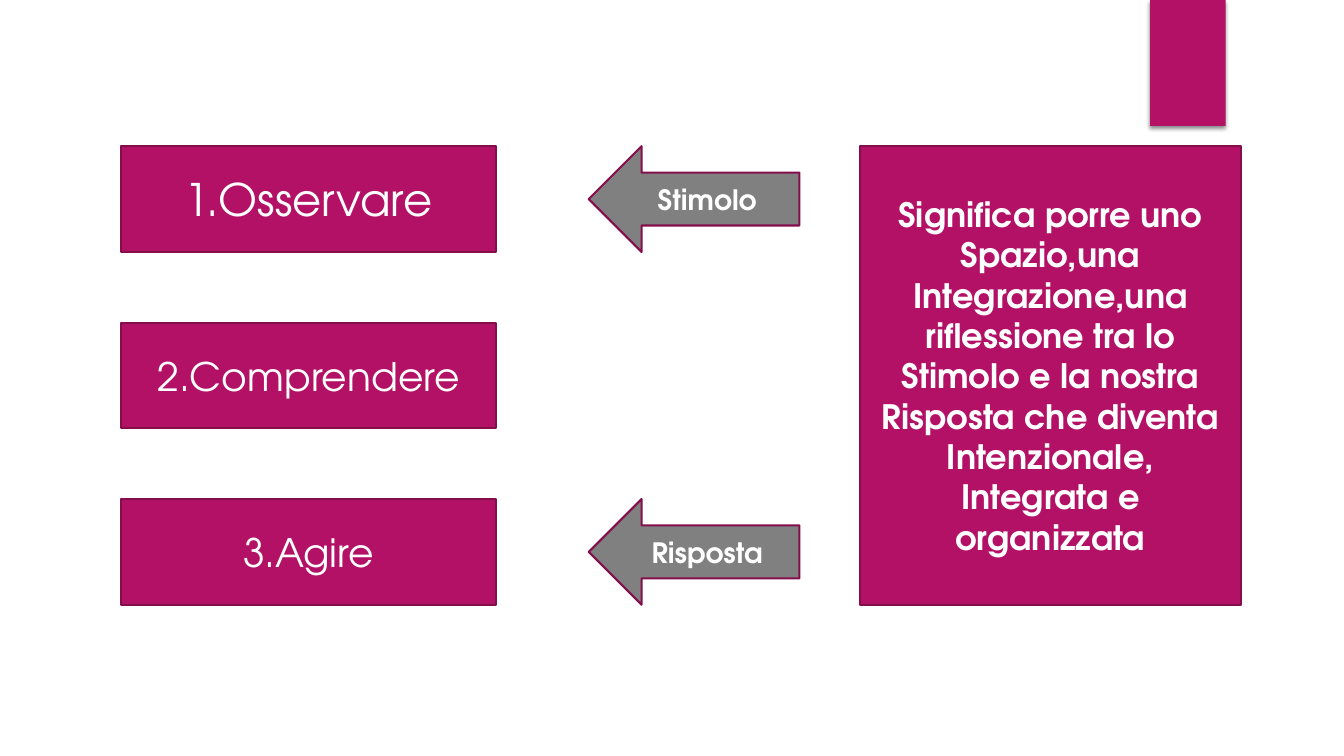
from lxml.etree import SubElement
from pptx import Presentation
from pptx.dml.color import RGBColor
from pptx.enum.shapes import MSO_SHAPE
from pptx.enum.text import MSO_ANCHOR, PP_ALIGN
from pptx.oxml.ns import qn
from pptx.util import Pt

STEPS = [("1.Osservare", 32), ("2.Comprendere", 28), ("3.Agire", 28)]
ARROWS = [("Stimolo", 0), ("Risposta", 2)]
MEANING = [
    "Significa porre uno",
    "Spazio,una",
    "Integrazione,una",
    "riflessione tra lo",
    "Stimolo e la nostra",
    "Risposta che diventa",
    "Intenzionale,",
    "Integrata e",
    "organizzata",
]

FONT = "TeX Gyre Adventor"
MAGENTA, EDGE, GREY, WHITE = "B31166", "840D4B", "808080", "FFFFFF"
TOP, ROW_H, PITCH = 104.4, 75.6, 126
STEP_X, STEP_W = 86.4, 267.84
ARROW_X, ARROW_W = 420.48, 150.48
MEANING_X, MEANING_W = 614.16, 272.16
MEANING_H = 2 * PITCH + ROW_H
TAB_BOX = (821.52, 0, 54, 90)


def paint(color, value):
    color.rgb = RGBColor.from_string(value)


def add_box(slide, kind, box, fill):
    s = slide.shapes.add_shape(kind, *[Pt(v) for v in box])
    s.shadow.inherit = False
    s.fill.solid()
    paint(s.fill.fore_color, fill)
    return s


def add_tab(slide):
    s = add_box(slide, MSO_SHAPE.RECTANGLE, TAB_BOX, MAGENTA)
    s.line.fill.background()
    effects = s._element.spPr.find(qn("a:effectLst"))
    shadow = SubElement(effects, qn("a:outerShdw"), blurRad=str(Pt(3)),
                        dist=str(Pt(2)), dir="5400000", rotWithShape="0")
    color = SubElement(shadow, qn("a:srgbClr"), val="000000")
    SubElement(color, qn("a:alpha"), val="45000")


def add_label(slide, kind, box, fill, lines, **font):
    s = add_box(slide, kind, box, fill)
    paint(s.line.color, EDGE)
    s.line.width = Pt(1.5)
    tf = s.text_frame
    tf.word_wrap = True
    tf.vertical_anchor = MSO_ANCHOR.MIDDLE
    for i, text in enumerate(lines):
        p = tf.add_paragraph() if i else tf.paragraphs[0]
        p.alignment = PP_ALIGN.CENTER
        r = p.add_run()
        r.text = text
        for name, value in {"name": FONT, **font}.items():
            setattr(r.font, name, value)
        paint(r.font.color, WHITE)


def main():
    prs = Presentation()
    prs.slide_width, prs.slide_height = Pt(960), Pt(540)
    slide = prs.slides.add_slide(prs.slide_layouts[6])
    add_tab(slide)
    for row, (text, size) in enumerate(STEPS):
        box = (STEP_X, TOP + row * PITCH, STEP_W, ROW_H)
        add_label(slide, MSO_SHAPE.RECTANGLE, box, MAGENTA, [text], size=Pt(size))
    for text, row in ARROWS:
        box = (ARROW_X, TOP + row * PITCH, ARROW_W, ROW_H)
        add_label(slide, MSO_SHAPE.LEFT_ARROW, box, GREY, [text],
                  size=Pt(20), bold=True)
    add_label(slide, MSO_SHAPE.RECTANGLE, (MEANING_X, TOP, MEANING_W, MEANING_H),
              MAGENTA, MEANING, size=Pt(24), bold=True)
    prs.save("out.pptx")


if __name__ == "__main__":
    main()
